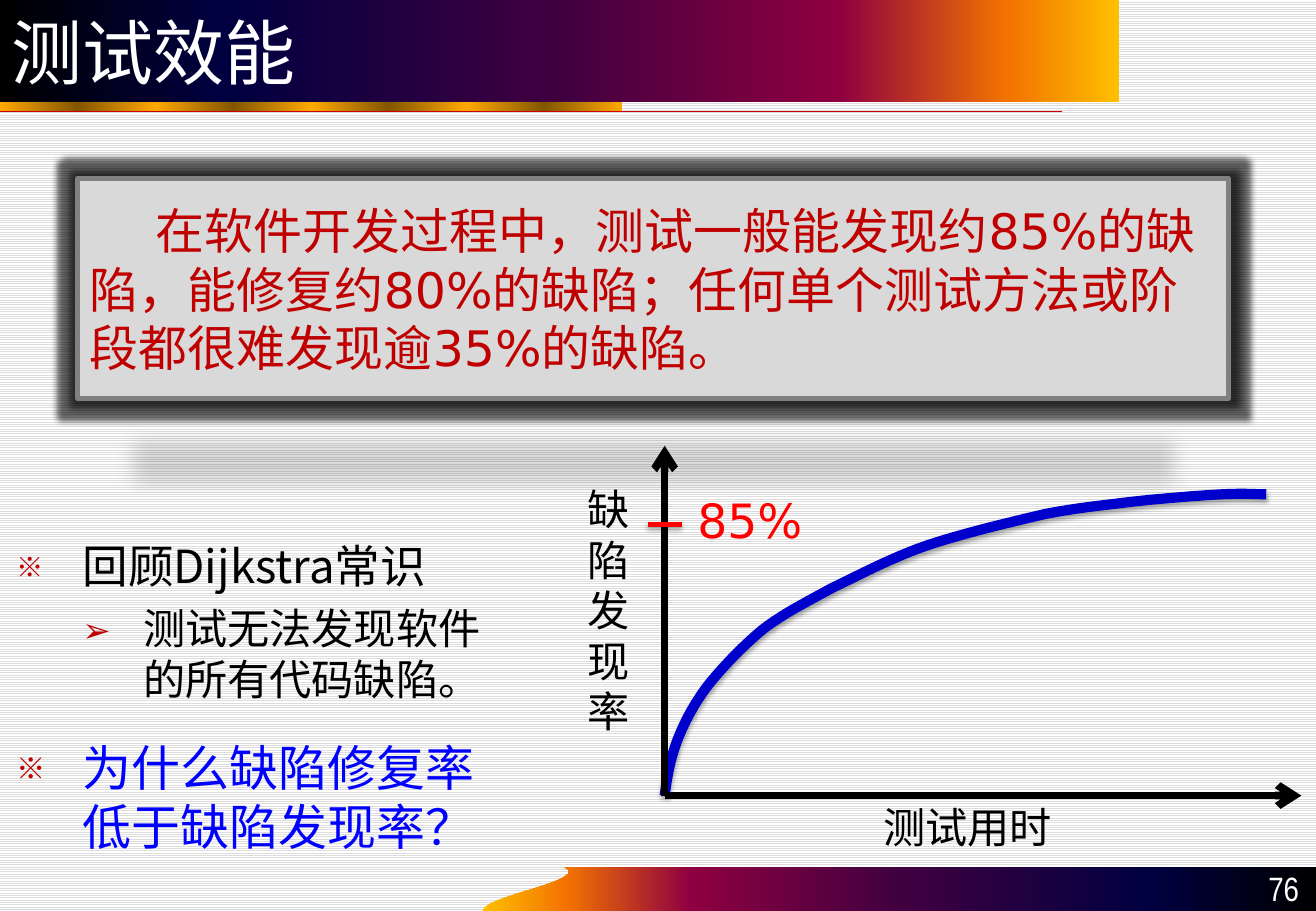
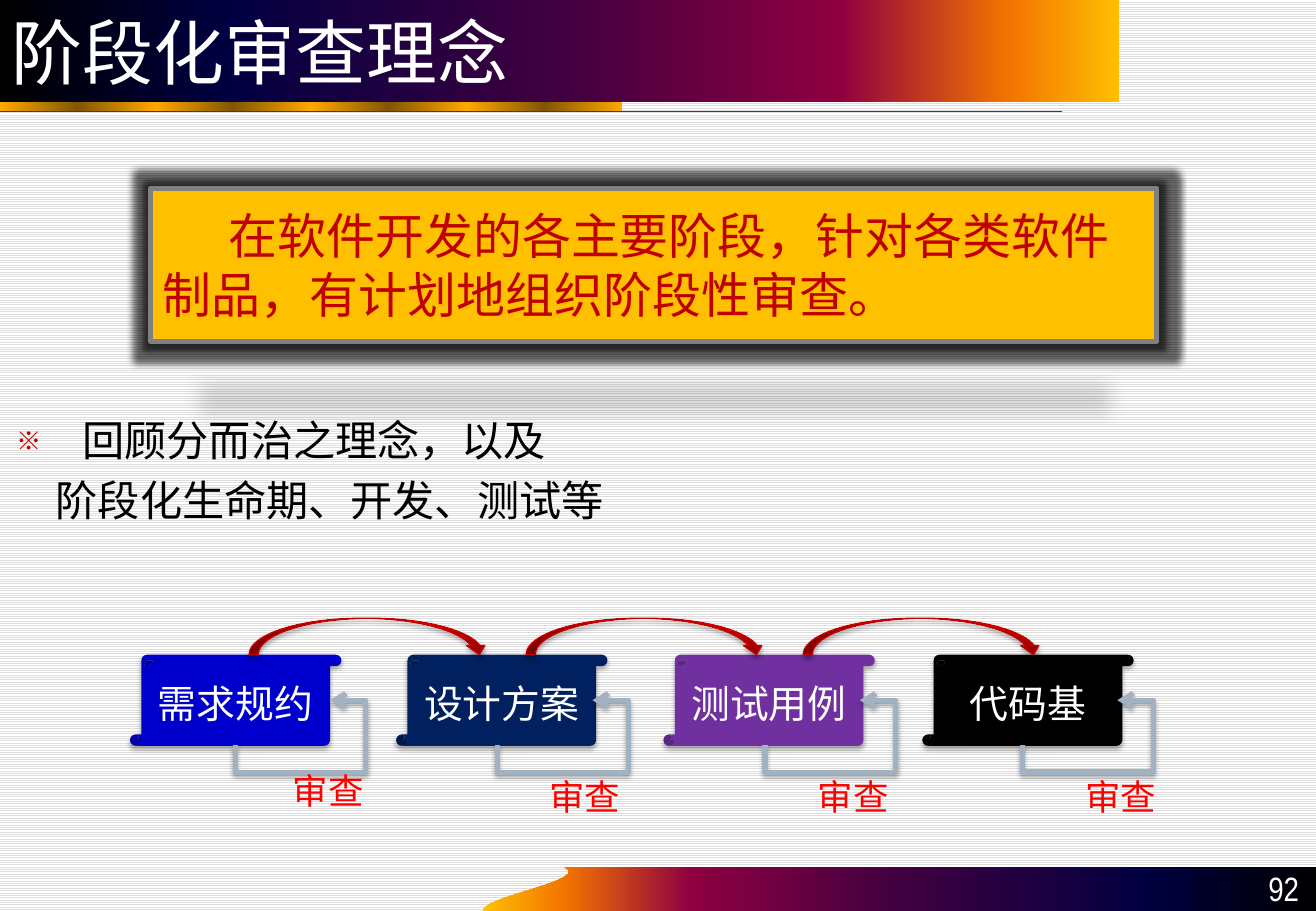
from lxml import etree
from pptx import Presentation
from pptx import util as u
from pptx.dml.color import RGBColor
from pptx.enum import dml, shapes, text
from pptx.oxml import ns

WIDE, HIGH = 10.83, 7.5  # a grid of one-inch columns and rows
SANS, HAN, SLIM = "DejaVu Sans", "Noto Sans CJK SC", "Arial Narrow"
BLACK, WHITE, RED, DARK, BLUE = "000000", "FFFFFF", "FF0000", "C00000", "0000CC"
DUSK = [(0, BLACK), (20, "000040"), (50, "400040"), (75, "8F0040"),
        (90, "F27300"), (100, "FFBF00")]
DAWN = [(100 - at, ink) for at, ink in reversed(DUSK)]
GOLD = [(i * 12.5, ("FFA800", "825600")[i % 2]) for i in range(9)]
EMBER = [(0, "980000"), (80, "C60000"), (100, "C70000")]
SOFT = [("outerShdw", {"blurRad": 39370, "dist": 22860, "dir": 5400000}, 35)]
DEEP = [("glow", {"rad": 101600}, 60),
        ("outerShdw", {"blurRad": 152400, "dist": 317500, "dir": 5400000,
                       "sx": 90000, "sy": -19000, "rotWithShape": 0}, 15)]


def cell(*sizes):
    """Turn grid lengths into EMU."""
    return [u.Inches(size) for size in sizes]


def hue(ink):
    return RGBColor.from_string(ink)


def sub(node, tag, **attrs):
    """Append a DrawingML child."""
    return etree.SubElement(node, ns.qn("a:" + tag),
                            {key: str(val) for key, val in attrs.items()})


def bend(start, one, two, end, steps=12):
    """Points on a cubic curve, without its start."""
    pts = []
    for i in range(1, steps + 1):
        t = i / steps
        mix = ((1 - t) ** 3, 3 * t * (1 - t) ** 2, 3 * t * t * (1 - t), t ** 3)
        pts.append(tuple(sum(m * p[k] for m, p in zip(mix, (start, one, two, end)))
                         for k in (0, 1)))
    return pts


class Deck:
    """Holds the style and the current slide."""

    def __init__(self):
        self.prs = Presentation()
        self.prs.slide_width, self.prs.slide_height = cell(WIDE, HIGH)

    def page(self, title, num):
        """Start a slide with its backdrop, bands, title and number."""
        self.now = self.prs.slides.add_slide(self.prs.slide_layouts[6])
        back = self.now.background.fill
        back.patterned()
        back.pattern = dml.MSO_PATTERN.LIGHT_HORIZONTAL
        back.fore_color.rgb, back.back_color.rgb = hue("DDDDDD"), hue(WHITE)
        low, tip = (3.97, HIGH), (4.65, 7.14)
        foot = [tip, (WIDE, 7.14), (WIDE, HIGH), low]
        self.free(foot + bend(low, (3.97, 7.38), (4.87, 7.25), tip), fill=DAWN)
        self.shape("RECTANGLE", (0, 0.84, 5.12, 0.08), GOLD)
        self.link((0, 0.92), (8.74, 0.92), "CC0000", 0.75)
        band = self.shape("RECTANGLE", (0, 0, 9.21, 0.84), DUSK)
        self.say(band, title, 42, WHITE, SANS)
        self.label((9.83, 7.13, 0.96, 0.4), num, 20, WHITE, SLIM,
                   align="RIGHT", anchor="BOTTOM")

    def paint(self, item, fill=None, line=None, width=1, glow=()):
        """Set fill (hex or stops), line and effects."""
        if isinstance(fill, list):
            item.fill.gradient()
            item.fill.gradient_angle = 90 if fill is EMBER else 0
            stops = item._element.spPr.find(".//" + ns.qn("a:gsLst"))
            stops.clear()
            for at, ink in fill:
                sub(sub(stops, "gs", pos=int(at * 1000)), "srgbClr", val=ink)
        elif fill:
            item.fill.solid()
            item.fill.fore_color.rgb = hue(fill)
        elif hasattr(item, "fill"):
            item.fill.background()
        if line:
            item.line.color.rgb, item.line.width = hue(line), u.Pt(width)
        else:
            item.line.fill.background()
        marks = sub(item._element.spPr, "effectLst")
        for tag, attrs, alpha in glow:
            tint = sub(sub(marks, tag, **attrs), "srgbClr", val=BLACK)
            sub(tint, "alpha", val=alpha * 1000)
        return item

    def shape(self, kind, box, fill, **look):
        item = self.now.shapes.add_shape(
            getattr(shapes.MSO_SHAPE, kind), *cell(*box))
        return self.paint(item, fill, **look)

    def free(self, pts, close=True, **look):
        pen = self.now.shapes.build_freeform(*cell(*pts[0]))
        pen.add_line_segments([cell(*pt) for pt in pts[1:]], close=close)
        return self.paint(pen.convert_to_shape(), **look)

    def link(self, start, end, ink, width, arrow=False, kind="STRAIGHT", glow=()):
        item = self.now.shapes.add_connector(
            getattr(shapes.MSO_CONNECTOR, kind), *cell(*start, *end))
        self.paint(item, line=ink, width=width, glow=glow)
        if arrow:
            sub(item.line._get_or_add_ln(), "tailEnd", type="arrow")
        return item

    def loop(self, left, top):
        """An arrow from below a scroll back to its right side."""
        item = self.link((left + 0.57, top + 0.2), (left + 0.2, top - 0.58),
                         "A3B2C1", 3, True, "ELBOW", SOFT)
        props = item._element.spPr
        props.find(ns.qn("a:xfrm")).set("rot", "5400000")
        geom = props.find(ns.qn("a:prstGeom"))
        geom.clear()
        geom.set("prst", "bentConnector4")
        turns = sub(geom, "avLst")
        for name, val in (("adj1", -60000), ("adj2", 137700)):
            sub(turns, "gd", name=name, fmla=f"val {val}")

    def style(self, par, size, ink, font):
        par.line_spacing = u.Pt(round(size * 1.2, 1))
        for run in par.runs:
            run.font.size, run.font.name = u.Pt(size), font
            run.font.color.rgb = hue(ink)
            sub(run.font._element, "ea", typeface=HAN)

    def say(self, item, words, size, ink, font=HAN, align="LEFT",
            anchor="MIDDLE", pad=(0.1, 0.05), wrap=True, first=0):
        """Put styled words into a shape."""
        frame = item.text_frame
        frame.text, frame.word_wrap = words, wrap
        frame.vertical_anchor = getattr(text.MSO_ANCHOR, anchor)
        frame.margin_left = frame.margin_right = u.Inches(pad[0])
        frame.margin_top = frame.margin_bottom = u.Inches(pad[1])
        for par in frame.paragraphs:
            par.alignment = getattr(text.PP_ALIGN, align)
            if first:
                par._p.get_or_add_pPr().set("indent", str(u.Inches(first)))
            self.style(par, size, ink, font)

    def label(self, box, words, size, ink, font=HAN, anchor="TOP", **look):
        item = self.now.shapes.add_textbox(*cell(*box))
        self.say(item, words, size, ink, font, anchor=anchor, **look)

    def points(self, box, rows):
        """Rows of text, size, colour, left, hang, bullet, space before."""
        frame = self.now.shapes.add_textbox(*cell(*box)).text_frame
        frame.word_wrap = True
        frame.text = "\n".join(row[0] for row in rows)
        for par, row in zip(frame.paragraphs, rows):
            _, size, ink, left, hang, mark, gap = row
            props = par._p.get_or_add_pPr()
            props.set("marL", str(u.Inches(left)))
            props.set("indent", str(u.Inches(-hang)))
            if mark:
                sub(sub(props, "buClr"), "srgbClr", val=DARK)
                sub(props, "buSzPct", val=60000 if mark == "※" else 80000)
                sub(props, "buFont", typeface=HAN)
                sub(props, "buChar", char=mark)
            par.space_before = u.Pt(gap)
            self.style(par, size, ink, HAN)

    def quote(self, box, fill, words):
        item = self.shape("RECTANGLE", box, fill, line="808080", width=3, glow=DEEP)
        self.say(item, words, 29, DARK, SANS, first=0.54)


def yield_page(deck):
    deck.page("测试效能", "76")
    deck.points((0.04, 4.38, 4.35, 2.76), [
        ("回顾Dijkstra常识", 27, BLACK, 0.54, 0.54, "※", 0),
        ("测试无法发现软件的所有代码缺陷。", 25, BLACK, 1.04, 0.5, "➢", 6),
        ("为什么缺陷修复率低于缺陷发现率？", 29, "0000FF", 0.54, 0.54, "※", 20)])
    deck.quote((0.64, 1.47, 9.47, 1.81), "D9D9D9",
               "在软件开发过程中，测试一般能发现约85%的缺陷，能修复约80%的缺陷；"
               "任何单个测试方法或阶段都很难发现逾35%的缺陷。")
    zero = (5.47, 6.55)
    curve = [zero]
    for part in [((5.49, 6.39), (5.52, 6.23), (5.58, 6.08)),
                 ((5.64, 5.93), (5.71, 5.8), (5.82, 5.65)),
                 ((5.94, 5.5), (6.11, 5.32), (6.28, 5.18)),
                 ((6.45, 5.05), (6.63, 4.96), (6.85, 4.84)),
                 ((7.08, 4.73), (7.34, 4.59), (7.63, 4.49)),
                 ((7.93, 4.39), (8.35, 4.29), (8.61, 4.23)),
                 ((8.88, 4.18), (9, 4.17), (9.24, 4.14)),
                 ((9.48, 4.11), (9.86, 4.08), (10.05, 4.07)),
                 ((10.25, 4.06), (10.34, 4.07), (10.42, 4.07))]:
        curve += bend(curve[-1], *part)
    deck.free(curve, close=False, line=BLUE, width=6, glow=SOFT)
    for end in ((5.47, 3.67), (10.71, 6.55)):
        deck.link(zero, end, BLACK, 4.5, arrow=True)
    deck.label((7.17, 6.55, 1.6, 0.52), "测试用时", 25, BLACK, wrap=False)
    deck.label((4.74, 3.93, 0.55, 2.2), "\n".join("缺陷发现率"), 25, BLACK, wrap=False)
    deck.link((5.33, 4.32), (5.61, 4.32), RED, 3, glow=SOFT)
    deck.label((5.64, 4, 1.12, 0.57), "85%", 28, RED, SANS, wrap=False)


def review_page(deck):
    deck.page("阶段化审查理念", "92")
    deck.points((0.04, 3.36, 5.72, 1.1), [
        ("回顾分而治之理念，以及", 25, BLACK, 0.54, 0.54, "※", 0),
        ("阶段化生命期、开发、测试等", 25, BLACK, 0.32, 0, None, 6)])
    deck.quote((1.24, 1.55, 8.28, 1.26), "FFC000",
               "在软件开发的各主要阶段，针对各类软件制品，有计划地组织阶段性审查。")
    slim = (0.04, 0.02)
    stages = [("需求规约", BLUE, 1.07, 1.94, 2.37, 6.31),
              ("设计方案", "002060", 3.26, 4.1, 4.48, 6.36),
              ("测试用例", "7030A0", 5.46, 6.3, 6.69, 6.36),
              ("代码基", BLACK, 7.59, 8.42, 8.89, 6.36)]
    for name, ink, left, *_ in stages:
        item = deck.shape("VERTICAL_SCROLL", (left, 5.39, 1.74, 0.75), ink, glow=SOFT)
        deck.say(item, name, 23, WHITE, align="CENTER", pad=slim)
    for i in range(len(stages) - 1):
        deck.shape("CURVED_DOWN_ARROW", (2.05 + i * 2.28, 5.09, 1.97, 0.3), EMBER,
                   line="C80000", width=0.75, glow=SOFT)
    for *_, turn, left, top in stages:
        deck.loop(turn, 6.14)
        deck.label((left, top, 0.68, 0.4), "审查", 21, RED, pad=slim, wrap=False)


def main():
    deck = Deck()
    yield_page(deck)
    review_page(deck)
    deck.prs.save("out.pptx")


if __name__ == "__main__":
    main()
